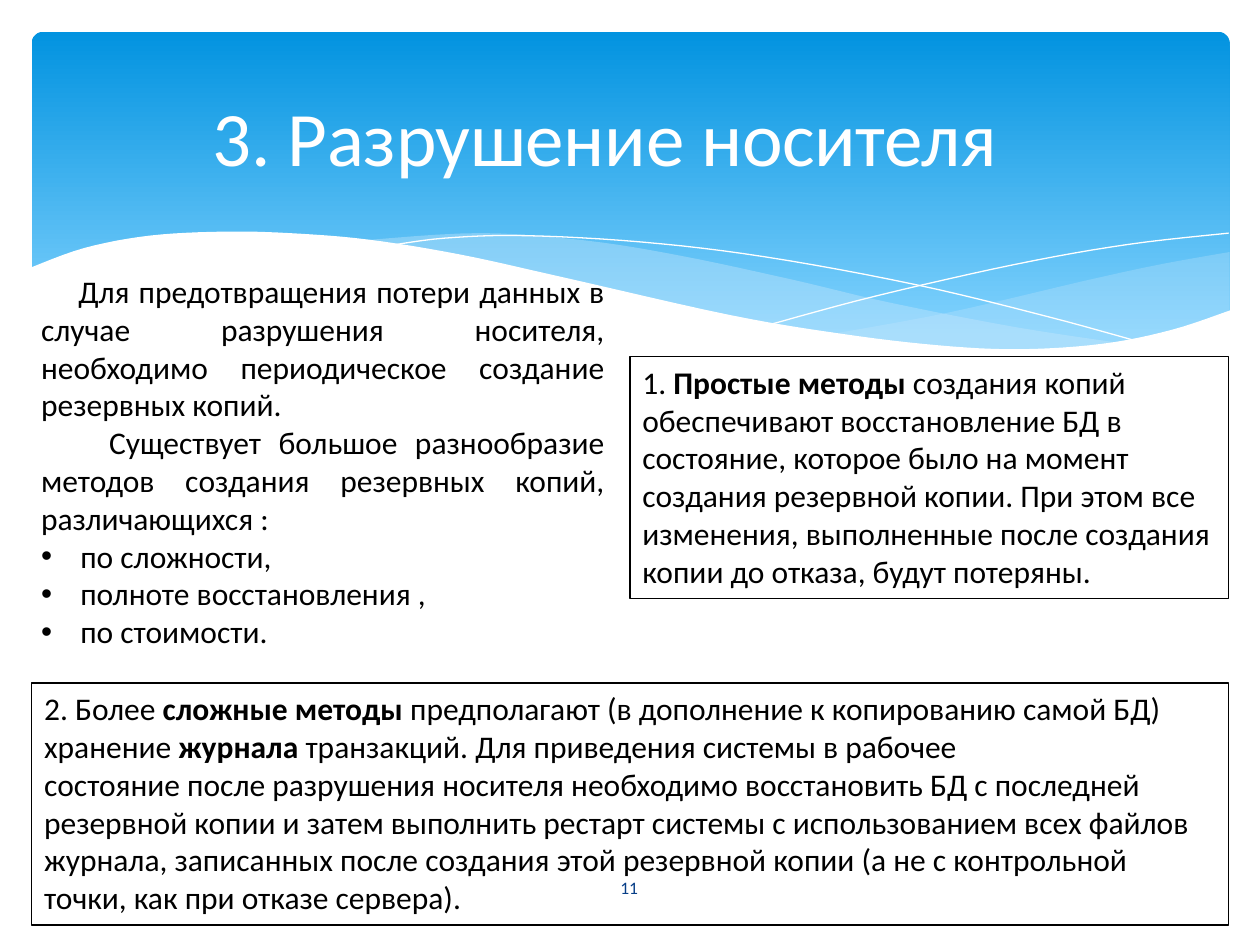
from lxml.etree import SubElement
from pptx import Presentation
from pptx.dml.color import RGBColor
from pptx.enum.shapes import MSO_SHAPE
from pptx.enum.text import MSO_ANCHOR, PP_ALIGN
from pptx.oxml.ns import qn
from pptx.util import Cm, Pt

WHITE = RGBColor(0xFF, 0xFF, 0xFF)
BLACK = RGBColor(0, 0, 0)
NAVY = RGBColor(0x07, 0x3E, 0x87)
SKY = RGBColor(0x02, 0x93, 0xE0)
LIGHT_SKY = RGBColor(0x83, 0xD3, 0xFE)
VEIL = RGBColor(0xC6, 0xE7, 0xFC)


def smooth(points, steps=6):
    """Return a Catmull-Rom curve through the points."""
    padded = [points[0], *points, points[-1]]
    curve = [points[0]]
    for a, b, c, d in zip(padded, padded[1:], padded[2:], padded[3:]):
        for step in range(1, steps + 1):
            t = step / steps
            curve.append(tuple(
                b[i] + 0.5 * t * (c[i] - a[i]
                                  + t * (2 * a[i] - 5 * b[i] + 4 * c[i] - d[i]
                                         + t * (3 * (b[i] - c[i]) + d[i] - a[i])))
                for i in (0, 1)))
    return curve


class SlideBuilder:
    font = "Calibri"
    body_size = 18

    def __init__(self, slide):
        self.slide = slide

    def banner(self, left, top, width, height):
        shape = self.slide.shapes.add_shape(
            MSO_SHAPE.ROUNDED_RECTANGLE, Cm(left), Cm(top), Cm(width), Cm(height))
        shape.shadow.inherit = False
        shape.adjustments[0] = 0.034
        shape.line.fill.background()
        shape.fill.gradient()
        shape.fill.gradient_angle = 270
        stops = zip(shape.fill.gradient_stops, (SKY, LIGHT_SKY), (0, 0.9))
        for stop, color, position in stops:
            stop.color.rgb = color
            stop.position = position

    def freeform(self, points, closed):
        corners = [(Cm(x), Cm(y)) for x, y in points]
        builder = self.slide.shapes.build_freeform(*corners[0])
        builder.add_line_segments(corners[1:], close=closed)
        shape = builder.convert_to_shape()
        shape.shadow.inherit = False
        return shape

    def area(self, points, color, opacity=100):
        shape = self.freeform(points, True)
        shape.line.fill.background()
        shape.fill.solid()
        shape.fill.fore_color.rgb = color
        if opacity < 100:
            color_element = shape.fill._xPr.find(qn("a:solidFill"))[0]
            SubElement(color_element, qn("a:alpha"), val=str(opacity * 1000))

    def curve(self, points):
        shape = self.freeform(smooth(points), False)
        shape.fill.background()
        shape.line.color.rgb = WHITE
        shape.line.width = Pt(0)

    def text_box(self, left, top, width, height):
        shape = self.slide.shapes.add_textbox(Cm(left), Cm(top), Cm(width), Cm(height))
        shape.text_frame.word_wrap = True
        return shape

    def format_run(self, run, size=body_size, color=BLACK, bold=False):
        run.font.name = self.font
        run.font.size = Pt(size)
        run.font.color.rgb = color
        run.font.bold = bold

    def label(self, text, box, size, color):
        frame = self.text_box(*box).text_frame
        frame.margin_left = frame.margin_right = 0
        frame.margin_top = frame.margin_bottom = 0
        frame.vertical_anchor = MSO_ANCHOR.MIDDLE
        frame.text = text
        paragraph = frame.paragraphs[0]
        paragraph.alignment = PP_ALIGN.CENTER
        self.format_run(paragraph.runs[0], size, color)
        return paragraph

    def body(self, box, introduction, bullets):
        frame = self.text_box(*box).text_frame
        frame.text = "\n".join([text for text, _ in introduction] + bullets)
        indents = [indent for _, indent in introduction]
        for index, paragraph in enumerate(frame.paragraphs):
            self.format_run(paragraph.runs[0])
            properties = paragraph._p.get_or_add_pPr()
            if index < len(indents):
                paragraph.alignment = PP_ALIGN.JUSTIFY
                properties.set("indent", str(Cm(indents[index])))
            else:
                properties.set("marL", str(Cm(0.79)))
                properties.set("indent", str(Cm(-0.79)))
                SubElement(properties, qn("a:buFont"), typeface="Arial")
                SubElement(properties, qn("a:buChar"), char="•")

    def framed_text(self, box, paragraphs):
        """Each paragraph is a list of texts, alternately regular and bold."""
        shape = self.text_box(*box)
        shape.line.color.rgb = BLACK
        shape.line.width = Pt(0.75)
        frame = shape.text_frame
        for index, texts in enumerate(paragraphs):
            paragraph = frame.add_paragraph() if index else frame.paragraphs[0]
            for position, text in enumerate(texts):
                run = paragraph.add_run()
                run.text = text
                self.format_run(run, bold=position % 2 == 1)


presentation = Presentation()
presentation.slide_width = Cm(25.4)
presentation.slide_height = Cm(19.05)
builder = SlideBuilder(presentation.slides.add_slide(presentation.slide_layouts[6]))

# Banner with veils, thin curves and the white wave
builder.banner(0.64, 0.64, 24.15, 6.86)
right_top = [(24.79, 5.08), (23.39, 5.33), (21.87, 5.66), (19.13, 6.3), (16.79, 6.73)]
right_bottom = [(16.79, 6.73), (17.91, 6.88), (19.23, 7.01), (20.68, 7.06),
                (22.38, 6.93), (23.57, 6.68), (24.79, 6.27)]
builder.area(smooth(right_top) + smooth(right_bottom), VEIL, 29)
left_top = [(22.68, 6.93), (20.5, 6.6), (17.93, 6.1), (15.98, 5.64),
            (13.74, 5.16), (11.81, 4.85), (9.65, 4.7), (7.26, 4.85)]
left_bottom = [(7.26, 4.85), (9.19, 5.16), (11.4, 5.64), (14.38, 6.3),
               (16.51, 6.71), (18.34, 6.96), (20.5, 7.06), (22.68, 6.93)]
builder.area(smooth(left_top) + smooth(left_bottom), VEIL, 40)
builder.curve([(7.85, 4.95), (8.97, 4.8), (10.57, 4.75), (12.95, 4.88),
               (15.44, 5.18), (18.47, 5.74), (21.11, 6.38), (23.04, 6.91)])
builder.curve([(15.57, 6.53), (17.65, 5.97), (20.47, 5.33), (22.73, 4.93), (24.77, 4.7)])
wave = [(24.82, 6.25), (23.62, 6.65), (22.23, 6.93), (20.55, 7.04), (18.9, 6.96),
        (16.97, 6.73), (14.71, 6.35), (11.35, 5.59), (9.27, 5.13), (7.42, 4.83),
        (5.84, 4.7), (4.5, 4.67), (3.02, 4.75), (1.7, 5), (0.58, 5.41)]
builder.area(smooth(wave) + [(0.58, 8.36), (24.82, 8.36)], WHITE)

# Page number and title
page_number = builder.label("11", (11.07, 17.37, 3.23, 1.02), 10, NAVY)
page_number.line_spacing = Pt(12.4)
title = builder.label("3. Разрушение носителя", (2.34, 1.78, 19.71, 1.93), 44, WHITE)
title.space_before = Pt(1.1)
title.runs[0].font._element.set("spc", "-20")

# Text on backup copies
builder.body(
    (0.58, 5.36, 11.86, 7.95),
    [("Для предотвращения потери данных в случае разрушения носителя, "
      "необходимо периодическое создание резервных копий.", 0.75),
     ("Существует большое разнообразие методов создания резервных копий, "
      "различающихся :", 1.37)],
    ["по сложности,", "полноте восстановления ,", "по стоимости."])

# Framed methods
builder.framed_text((12.7, 7.19, 12.07, 4.88), [
    ["1. ", "Простые методы",
     " создания копий обеспечивают восстановление БД в состояние, которое было "
     "на момент создания резервной копии. При этом все изменения, выполненные "
     "после создания копии до отказа, будут потеряны."]])
builder.framed_text((0.64, 13.77, 24.13, 4.88), [
    ["2. Более ", "сложные методы ",
     "предполагают (в дополнение к копированию самой БД) хранение ", "журнала ",
     "транзакций. Для приведения системы в рабочее"],
    ["состояние после разрушения носителя необходимо восстановить БД с последней "
     "резервной копии и затем выполнить рестарт системы с использованием всех "
     "файлов журнала, записанных после создания этой резервной копии (а не с "
     "контрольной точки, как при отказе сервера)."]])

presentation.save("out.pptx")
